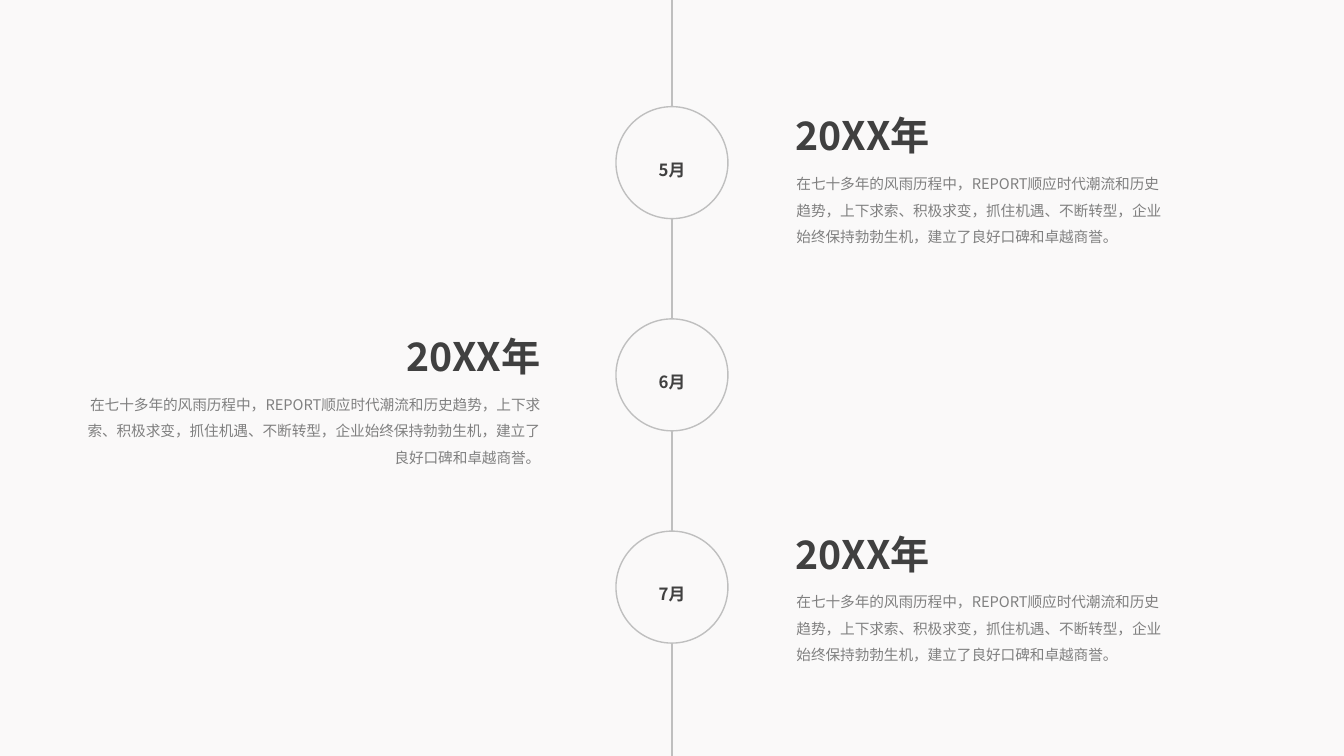
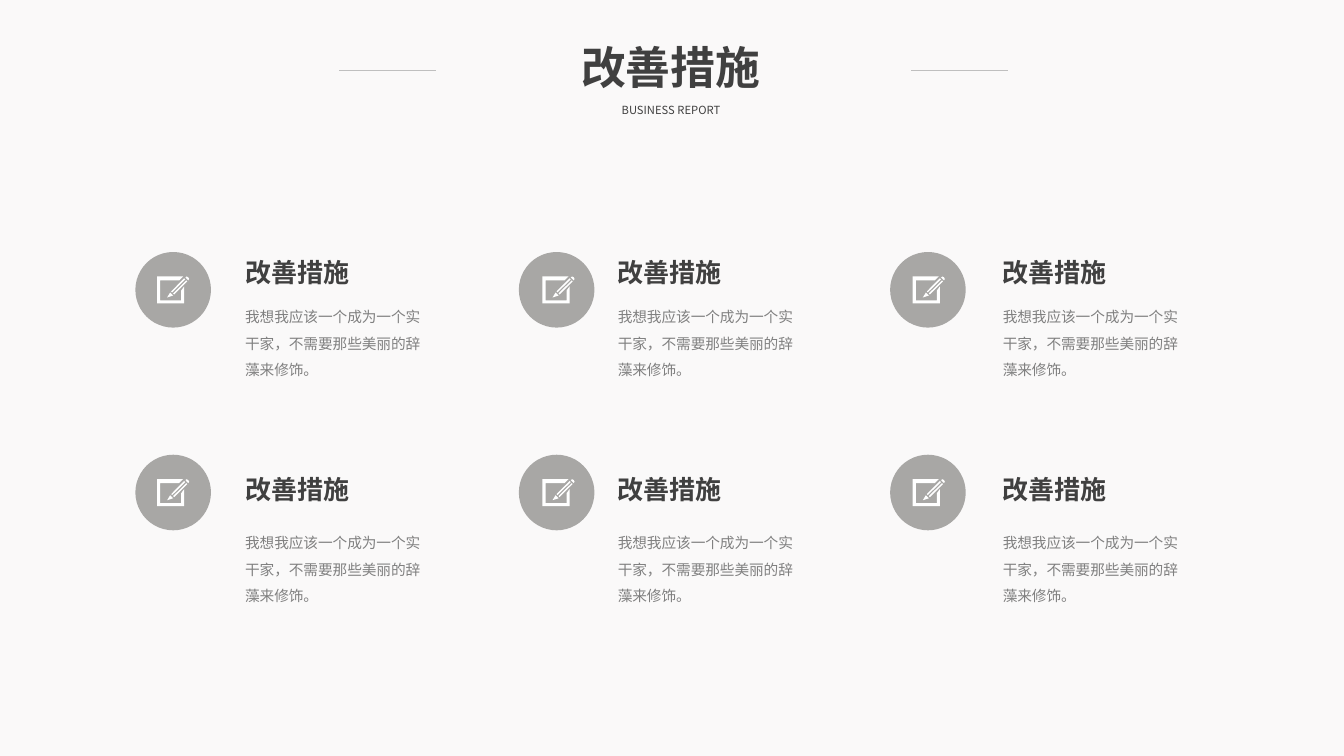
from lxml import etree
from pptx import Presentation
from pptx.dml.color import RGBColor
from pptx.enum.lang import MSO_LANGUAGE_ID
from pptx.enum.shapes import MSO_CONNECTOR, MSO_SHAPE
from pptx.enum.text import PP_ALIGN
from pptx.oxml.ns import qn
from pptx.util import Pt

LEFT, CENTER, RIGHT = PP_ALIGN.LEFT, PP_ALIGN.CENTER, PP_ALIGN.RIGHT
OVAL, FLOW_CIRCLE = MSO_SHAPE.OVAL, MSO_SHAPE.FLOWCHART_CONNECTOR
STRAIGHT = MSO_CONNECTOR.STRAIGHT
CHINESE = MSO_LANGUAGE_ID.SIMPLIFIED_CHINESE

COLORS = {
    "background": "FAF9F9",
    "rule": "BFBFBF",
    "heading": "404040",
    "body": "808080",
    "badge": "A8A7A5",
    "icon": "FFFFFF",
}
FONT = "Noto Sans CJK SC"
SLIDE_WIDTH, SLIDE_HEIGHT = 960, 540

HISTORY = ("在七十多年的风雨历程中，REPORT顺应时代潮流和历史趋势，上下求索、积极求变，"
           "抓住机遇、不断转型，企业始终保持勃勃生机，建立了良好口碑和卓越商誉。")
MEASURE = "我想我应该一个成为一个实干家，不需要那些美丽的辞藻来修饰。"

# Outlines of the pencil-and-paper icon, in points from its top left corner
FRAME = [(17.3, 17.3), (2.2, 17.3), (2.2, 2.9), (15.8, 2.9), (18.7, 0), (0, 0),
         (0, 19.4), (19.4, 19.4), (19.4, 7.2), (17.3, 10.1)]
NIB = [(11.5, 13.7), (9.4, 11.5), (7.2, 15.1)]
UPPER_SHAFT = [(19.4, 1.4), (10.1, 10.8), (10.8, 11.5), (20.2, 2.2)]
LOWER_SHAFT = [(11.5, 12.2), (12.2, 13), (21.6, 3.6), (20.9, 2.9)]
ERASER = [(20.2, 0.7), (21.2, 0.1), (22.3, 0.7), (22.9, 1.9), (22.3, 2.9)]
ICON_PARTS = (NIB, UPPER_SHAFT, LOWER_SHAFT, ERASER, FRAME)
ICON_STEPS = 10  # drawing units per point


def color(name):
    return RGBColor.from_string(COLORS[name])


def new_slide(presentation):
    slide = presentation.slides.add_slide(presentation.slide_layouts[6])
    slide.background.fill.solid()
    slide.background.fill.fore_color.rgb = color("background")
    return slide


def add_text(slide, box, text, size, color_name="heading", bold=False,
             align=LEFT, spacing=1.0):
    shape = slide.shapes.add_textbox(*(Pt(length) for length in box))
    text_frame = shape.text_frame
    text_frame.word_wrap = True
    text_frame.text = text
    paragraph = text_frame.paragraphs[0]
    paragraph.alignment = align
    paragraph.line_spacing = spacing
    font = paragraph.runs[0].font
    font.size, font.bold, font.name = Pt(size), bold, FONT
    font.color.rgb = color(color_name)
    font.language_id = CHINESE
    # East Asian typeface follows the Latin one
    latin = paragraph.runs[0]._r.rPr.find(qn("a:latin"))
    latin.addnext(etree.Element(qn("a:ea"), typeface=FONT))


def add_body(slide, box, text, align=LEFT):
    add_text(slide, box, text, 10.5, "body", align=align, spacing=1.5)


def add_rule(slide, start, end, weight):
    connector = slide.shapes.add_connector(
        STRAIGHT, *(Pt(length) for length in (*start, *end)))
    connector.line.color.rgb = color("rule")
    connector.line.width = Pt(weight)
    etree.SubElement(connector._element.spPr, qn("a:effectLst"))


def paint(shape, fill, line=None):
    shape.shadow.inherit = False
    shape.fill.solid()
    shape.fill.fore_color.rgb = color(fill)
    if line:
        shape.line.color.rgb = color(line)
        shape.line.width = Pt(1)
    else:
        shape.line.fill.background()


def add_circle(slide, kind, left, top, diameter, fill, line=None):
    shape = slide.shapes.add_shape(kind, Pt(left), Pt(top), Pt(diameter), Pt(diameter))
    paint(shape, fill, line)


def add_edit_icon(slide, left, top):
    group = slide.shapes.add_group_shape()
    for points in ICON_PARTS:
        start, *others = [(round(x * ICON_STEPS), round(y * ICON_STEPS)) for x, y in points]
        builder = group.shapes.build_freeform(*start, scale=Pt(1) / ICON_STEPS)
        builder.add_line_segments(others, close=True)
        paint(builder.convert_to_shape(Pt(left), Pt(top)), "icon")


def add_month(slide, left, top, month):
    diameter, label_width = 80, 51
    add_circle(slide, OVAL, left, top, diameter, "background", "rule")
    label_box = (left + (diameter - label_width) / 2, top + 27.1, label_width, 27)
    add_text(slide, label_box, month, 12, bold=True, align=CENTER, spacing=1.5)


def add_event(slide, left, top, width, align):
    # The heading's left edge sits slightly outside the body's
    add_text(slide, (left - 0.6, top, width + 0.6, 41), "20XX年", 28, bold=True, align=align)
    add_body(slide, (left, top + 38.8, width, 65), HISTORY, align)


def build_timeline(presentation):
    slide = new_slide(presentation)
    middle = SLIDE_WIDTH / 2
    add_rule(slide, (middle, SLIDE_HEIGHT), (middle, 0), 1)
    for index, month in enumerate(("5月", "6月", "7月")):
        add_month(slide, middle - 40, 76.2 + 151.6 * index, month)
    # Events alternate between the sides of the line
    for left, top, width, align in ((561.8, 76.3, 282.2, LEFT),
                                    (54.7, 234.1, 338.5, RIGHT),
                                    (561.8, 375.1, 282.2, LEFT)):
        add_event(slide, left, top, width, align)


def add_title(slide, title, subtitle):
    add_text(slide, (331.2, 24.6, 295.9, 46), title, 32, bold=True, align=CENTER)
    add_text(slide, (422.1, 70.6, 114.5, 17.3), subtitle, 8, align=CENTER)
    for left in (242.2, 650.8):
        add_rule(slide, (left, 50.4), (left + 69.2, 50.4), 0.75)


def add_measure(slide, badge_left, icon_left, text_left, badge_top, heading_top, body_top):
    add_circle(slide, FLOW_CIRCLE, badge_left, badge_top, 54, "badge")
    add_edit_icon(slide, icon_left, badge_top + 17.4)
    add_text(slide, (text_left, heading_top, 155, 30), "改善措施", 18.6, bold=True)
    add_body(slide, (text_left, body_top, 142.6, 65), MEASURE)


def build_measures(presentation):
    slide = new_slide(presentation)
    add_title(slide, "改善措施", "BUSINESS REPORT")
    # Left edges of badge, icon and text
    columns = ((96.7, 112.2, 168), (370.6, 387.5, 434.2), (635.8, 652, 709.2))
    # Top edges of badge, heading and body
    rows = ((180, 179.8, 210.2), (324.8, 334.7, 371.7))
    for row in rows:
        for column in columns:
            add_measure(slide, *column, *row)


def main():
    presentation = Presentation()
    presentation.slide_width = Pt(SLIDE_WIDTH)
    presentation.slide_height = Pt(SLIDE_HEIGHT)
    build_timeline(presentation)
    build_measures(presentation)
    presentation.save("out.pptx")


if __name__ == "__main__":
    main()
